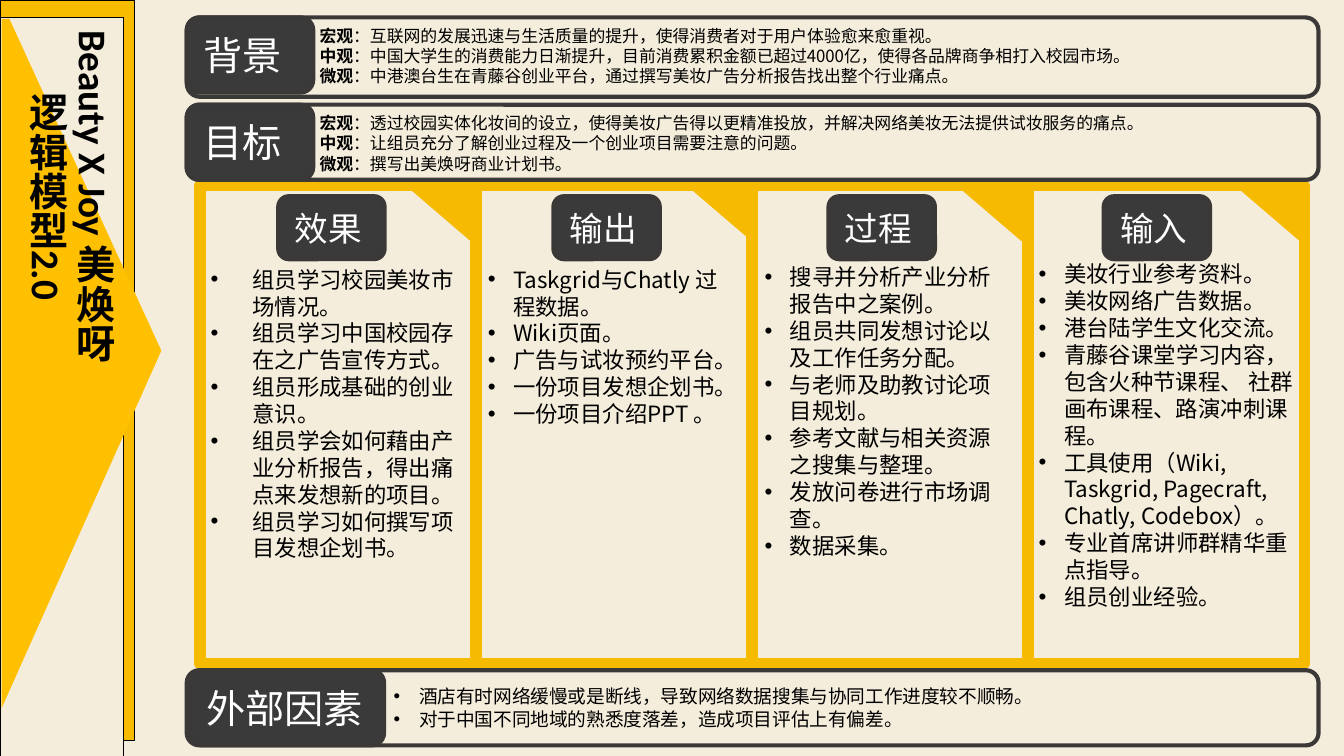
import pptx
import pptx.dml.color
import pptx.enum.shapes
import pptx.enum.text
import pptx.oxml.ns
import pptx.util
from lxml import etree

Cm = pptx.util.Cm
SHAPES = pptx.enum.shapes.MSO_SHAPE
SANS = "Noto Sans CJK TC"
CREAM, GOLD, AMBER, YELLOW = "F4EDDC", "F6BB00", "F7BC00", "FFC001"
DARK, EDGE, BLACK, WHITE = "3A3A3A", "3B3838", "000000", "FFFFFF"


def color(value):
    return pptx.dml.color.RGBColor.from_string(value)


class LogicModelSlide:
    def __init__(self, presentation):
        self.slide = presentation.slides.add_slide(presentation.slide_layouts[6])
        background = self.slide.background.fill
        background.solid()
        background.fore_color.rgb = color(CREAM)

    def paint(self, shape, fill=None, line=None, width=0.75):
        shape.shadow.inherit = False
        if fill:
            shape.fill.solid()
            shape.fill.fore_color.rgb = color(fill)
        else:
            shape.fill.background()
        if line:
            shape.line.color.rgb = color(line)
            shape.line.width = pptx.util.Pt(width)
        else:
            shape.line.fill.background()
        return shape

    def block(self, kind, box, fill=None, line=None, width=0.75):
        shape = self.slide.shapes.add_shape(kind, *map(Cm, box))
        return self.paint(shape, fill, line, width)

    def outline(self, points, fill):
        corners = [(Cm(x), Cm(y)) for x, y in points]
        builder = self.slide.shapes.build_freeform(*corners[0])
        builder.add_line_segments(corners[1:], close=True)
        return self.paint(builder.convert_to_shape(), fill)

    def format(self, run, size, font=SANS, ink=BLACK, bold=False):
        run.font.size = pptx.util.Pt(size)
        run.font.name = font
        run.font.bold = bold
        run.font.color.rgb = color(ink)
        east_asian = etree.SubElement(run.font._element, pptx.oxml.ns.qn("a:ea"))
        east_asian.set("typeface", SANS)

    def label(self, box, text, size):
        shape = self.block(SHAPES.ROUNDED_RECTANGLE, box, DARK, EDGE, 2.25)
        text_frame = shape.text_frame
        text_frame.text = text
        text_frame.vertical_anchor = pptx.enum.text.MSO_ANCHOR.MIDDLE
        paragraph = text_frame.paragraphs[0]
        paragraph.alignment = pptx.enum.text.PP_ALIGN.LEFT
        self.format(paragraph.runs[0], size, "Calibri", WHITE)

    def text_box(self, box, lines):
        text_frame = self.slide.shapes.add_textbox(*map(Cm, box)).text_frame
        text_frame.word_wrap = True
        text_frame.auto_size = pptx.enum.text.MSO_AUTO_SIZE.SHAPE_TO_FIT_TEXT
        text_frame.text = "\n".join(lines)
        return text_frame

    def title(self, box, lines):
        text_frame = self.text_box(box, lines)
        text_frame._txBody.bodyPr.set("vert", "eaVert")
        for paragraph in text_frame.paragraphs:
            paragraph.alignment = pptx.enum.text.PP_ALIGN.CENTER
            self.format(paragraph.runs[0], 21, "Calibri", bold=True)

    def levels(self, box, sentences):
        names = ("宏观", "中观", "微观")
        text_frame = self.text_box(box, names)
        for paragraph, sentence in zip(text_frame.paragraphs, sentences):
            self.format(paragraph.runs[0], 9, bold=True)
            run = paragraph.add_run()
            run.text = "：" + sentence
            self.format(run, 9)

    def bullets(self, box, lines, size, indent=0.48):
        for paragraph in self.text_box(box, lines).paragraphs:
            properties = paragraph._p.get_or_add_pPr()
            properties.set("marL", str(Cm(indent)))
            properties.set("indent", str(-Cm(indent)))
            bullet_font = etree.SubElement(properties, pptx.oxml.ns.qn("a:buFont"))
            bullet_font.set("typeface", "Arial")
            bullet = etree.SubElement(properties, pptx.oxml.ns.qn("a:buChar"))
            bullet.set("char", "•")
            self.format(paragraph.runs[0], size)


COLUMNS = [
    ("效果", 7.71, (3.73, 4.9, 5.13, 6.4), 0.79, [
        "组员学习校园美妆市场情况。",
        "组员学习中国校园存在之广告宣传方式。",
        "组员形成基础的创业意识。",
        "组员学会如何藉由产业分析报告，得出痛点来发想新的项目。",
        "组员学习如何撰写项目发想企划书。",
    ]),
    ("输出", 13.02, (8.97, 4.9, 5.26, 3.33), 0.48, [
        "Taskgrid与Chatly 过程数据。",
        "Wiki页面。",
        "广告与试妆预约平台。",
        "一份项目发想企划书。",
        "一份项目介绍PPT 。",
    ]),
    ("过程", 18.12, (14.2, 4.85, 5.11, 6.4), 0.48, [
        "搜寻并分析产业分析报告中之案例。",
        "组员共同发想讨论以及工作任务分配。",
        "与老师及助教讨论项目规划。",
        "参考文献与相关资源之搜集与整理。",
        "发放问卷进行市场调查。",
        "数据采集。",
    ]),
    ("输入", 23.38, (19.38, 4.8, 5.46, 8.56), 0.48, [
        "美妆行业参考资料。",
        "美妆网络广告数据。",
        "港台陆学生文化交流。",
        "青藤谷课堂学习内容，包含火种节课程、 社群画布课程、路演冲刺课程。",
        "工具使用（Wiki, Taskgrid, Pagecraft, Chatly, Codebox）。",
        "专业首席讲师群精华重点指导。",
        "组员创业经验。",
    ]),
]

BANDS = [
    ("目标", 1.98, 1.42, 3.53, 2.39),
    ("背景", 0.33, 1.5, 3.53, 2.39),
    ("外部因素", 12.67, 1.42, 3.58, 3.68),
]

BACKGROUND = [
    "互联网的发展迅速与生活质量的提升，使得消费者对于用户体验愈来愈重视。",
    "中国大学生的消费能力日渐提升，目前消费累积金额已超过4000亿，使得各品牌商争相打入校园市场。",
    "中港澳台生在青藤谷创业平台，通过撰写美妆广告分析报告找出整个行业痛点。",
]

GOALS = [
    "透过校园实体化妆间的设立，使得美妆广告得以更精准投放，并解决网络美妆无法提供试妆服务的痛点。",
    "让组员充分了解创业过程及一个创业项目需要注意的问题。",
    "撰写出美焕呀商业计划书。",
]

EXTERNAL_FACTORS = [
    "酒店有时网络缓慢或是断线，导致网络数据搜集与协同工作进度较不顺畅。",
    "对于中国不同地域的熟悉度落差，造成项目评估上有偏差。",
]


def main():
    presentation = pptx.Presentation()
    presentation.slide_width = Cm(25.4)
    presentation.slide_height = Cm(14.29)
    page = LogicModelSlide(presentation)

    for index in range(len(COLUMNS)):
        frame = (3.78 + 5.22 * index, 3.51, 5.21, 9.04)
        page.block(SHAPES.RECTANGLE, frame, line=GOLD, width=6)
    for name, corner_left, box, indent, lines in COLUMNS:
        corner = page.block(SHAPES.RIGHT_TRIANGLE, (corner_left, 3.52, 1.19, 1.02), GOLD, GOLD, 1)
        corner.rotation = 180

    for name, top, height, left, width in BANDS:
        page.block(SHAPES.ROUNDED_RECTANGLE, (3.53, top, 21.39, height), line=EDGE, width=2.25)
    for name, top, height, left, width in BANDS:
        page.label((left, top, width, 1.42), name, 21)
    for index, (name, corner_left, box, indent, lines) in enumerate(COLUMNS):
        page.label((5.26 + 5.2 * index, 3.71, 2.01, 1.19), name, 18)

    page.block(SHAPES.RECTANGLE, (0, 0, 2.54, 14), AMBER, BLACK)
    page.block(SHAPES.RECTANGLE, (0, 0.33, 2.34, 13.97), CREAM, BLACK)
    page.outline([(0.03, 0.36), (0.18, 0.36), (3.05, 6.63), (0.03, 13.39)], YELLOW)
    page.title((0.05, 0.33, 2.31, 13.97), ["Beauty X Joy 美焕呀", "逻辑模型2.0"])

    page.levels((5.79, 0.36, 19.41, 1.42), BACKGROUND)
    page.levels((5.79, 2.01, 18.47, 1.42), GOALS)
    page.bullets((7.19, 12.83, 17.98, 1.12), EXTERNAL_FACTORS, 10)
    for name, corner_left, box, indent, lines in COLUMNS:
        page.bullets(box, lines, 12, indent)

    presentation.save("out.pptx")


if __name__ == "__main__":
    main()
